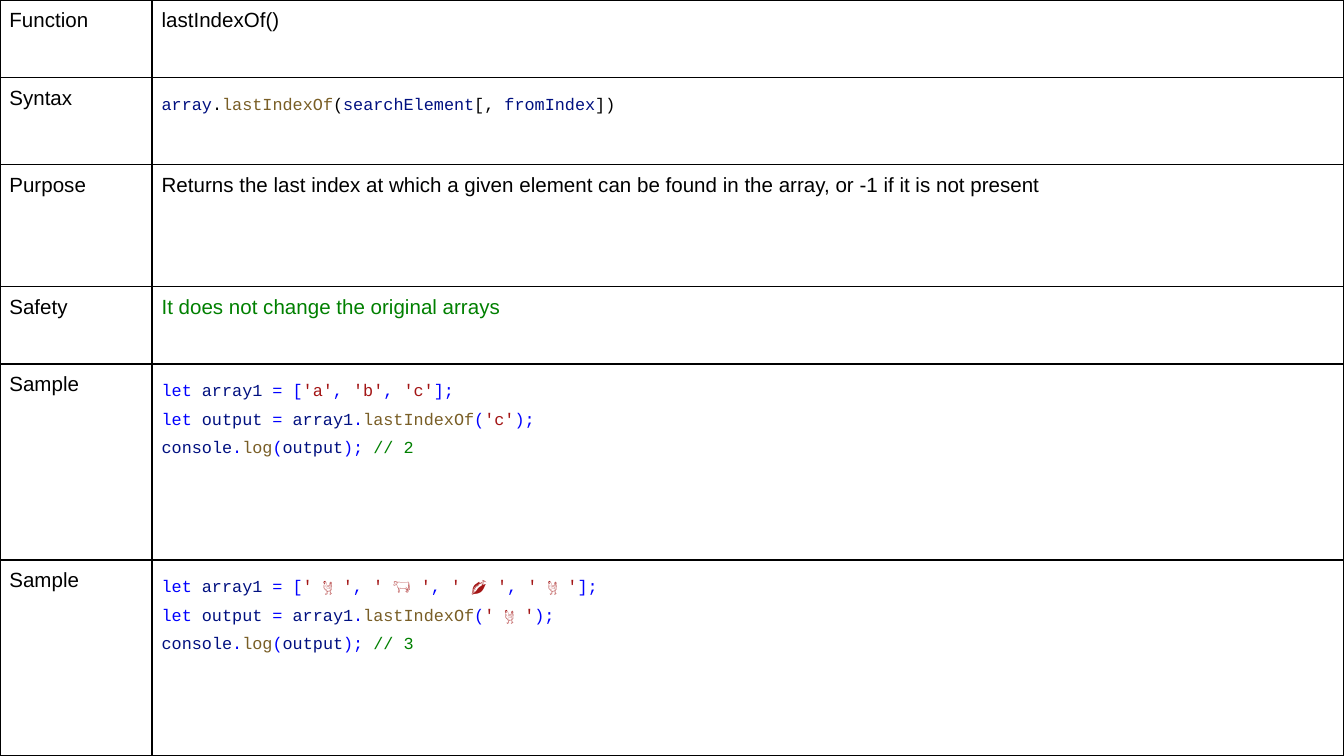
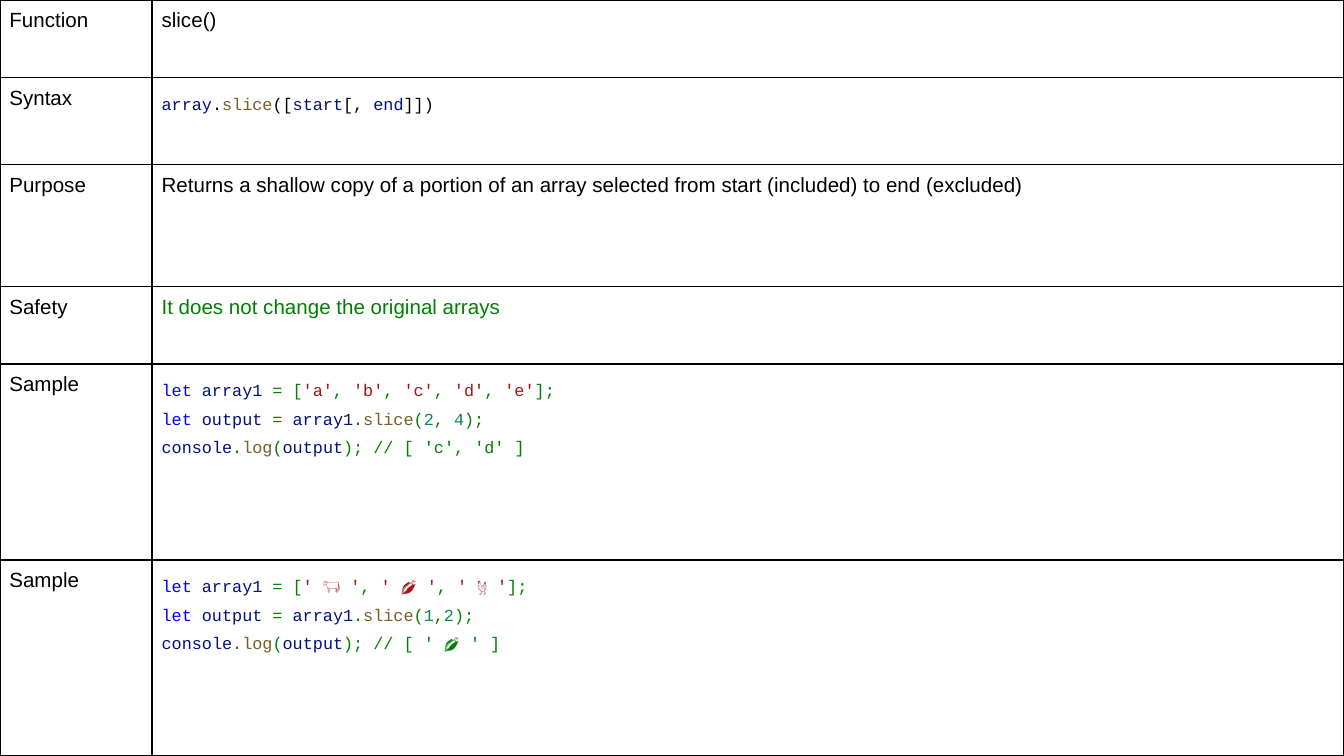
from lxml.etree import fromstring
from pptx import Presentation
from pptx.dml.color import RGBColor
from pptx.util import Inches, Pt

COLORS = {
    "line": "000000",
    "text": "000000",
    "safe": "008000",
    "keyword": "0000FF",
    "variable": "001080",
    "function": "795E26",
    "string": "A31515",
    "number": "098658",
    "comment": "008000",
}
NAMESPACE = "http://schemas.openxmlformats.org/drawingml/2006/main"
SLIDE_WIDTH = Inches(10)
SLIDE_HEIGHT = SLIDE_WIDTH * 9 // 16
UNIT = SLIDE_WIDTH // 1000
COLUMN_UNITS = (113.3, 886.7)
ROW_UNITS = (57.6, 64.8, 90.8, 57.6, 145.8, 145.8)
ROW_LABELS = ("Function", "Syntax", "Purpose", "Safety", "Sample", "Sample")
CELL_MARGIN = 7 * UNIT
FUNCTION_NAMES = {"lastIndexOf", "slice", "log"}
SAFETY = "It does not change the original arrays"

METHODS = [
    {
        "name": "lastIndexOf()",
        "syntax": "array|.|lastIndexOf|(|searchElement|[, |fromIndex|])",
        "purpose": "Returns the last index at which a given element can be found "
                   "in the array, or -1 if it is not present",
        "punctuation": "0000FF",
        "samples": [
            ["let |array1| = [|'a'|, |'b'|, |'c'|];",
             "let |output| = |array1|.|lastIndexOf|(|'c'|);",
             "console|.|log|(|output|); |// 2"],
            ["let |array1| = [|' 🐔 '|, |' 🐄 '|, |' 🌽 '|, |' 🐔 '|];",
             "let |output| = |array1|.|lastIndexOf|(|' 🐔 '|);",
             "console|.|log|(|output|); |// 3"],
        ],
    },
    {
        "name": "slice()",
        "syntax": "array|.|slice|([|start|[, |end|]])",
        "purpose": "Returns a shallow copy of a portion of an array selected "
                   "from start (included) to end (excluded)",
        "punctuation": "008000",
        "samples": [
            ["let |array1| = [|'a'|, |'b'|, |'c'|, |'d'|, |'e'|];",
             "let |output| = |array1|.|slice|(|2|, |4|);",
             "console|.|log|(|output|); // [ 'c', 'd' ]"],
            ["let |array1| = [|' 🐄 '|, |' 🌽 '|, |' 🐔 '|];",
             "let |output| = |array1|.|slice|(|1|,|2|);",
             "console|.|log|(|output|); // [ ' 🌽 ' ]"],
        ],
    },
]


def token_color(token, punctuation):
    """Return the syntax colour of one code token."""
    if token == "let ":
        return COLORS["keyword"]
    if token.startswith("'"):
        return COLORS["string"]
    if token.startswith("//"):
        return COLORS["comment"]
    if token.isdigit():
        return COLORS["number"]
    if token in FUNCTION_NAMES:
        return COLORS["function"]
    return COLORS["variable"] if token.isidentifier() else punctuation


def style_cell(cell):
    """Give a cell equal margins, no fill and a thin border on each side."""
    cell.margin_left = cell.margin_right = CELL_MARGIN
    cell.margin_top = cell.margin_bottom = CELL_MARGIN
    cell.fill.background()
    properties = cell._tc.get_or_add_tcPr()
    for position, side in enumerate("LRTB"):
        properties.insert(position, fromstring(
            f'<a:ln{side} xmlns:a="{NAMESPACE}" w="{int(Pt(1))}"><a:solidFill>'
            f'<a:srgbClr val="{COLORS["line"]}"/></a:solidFill></a:ln{side}>'))


def write_text(cell, text, color=COLORS["text"]):
    """Write one line of plain text in a cell."""
    paragraph = cell.text_frame.paragraphs[0]
    paragraph.add_run().text = text
    paragraph.font.name = "Arial"
    paragraph.font.size = Pt(11)
    paragraph.font.color.rgb = RGBColor.from_string(color)


def write_code(cell, lines, punctuation):
    """Write code lines in a cell, colouring the tokens that bars separate."""
    frame = cell.text_frame
    for index, line in enumerate(lines):
        paragraph = frame.add_paragraph() if index else frame.paragraphs[0]
        paragraph.line_spacing = 1.5
        paragraph.font.name = "Courier New"
        paragraph.font.size = Pt(9)
        for token in line.split("|"):
            run = paragraph.add_run()
            run.text = token
            run.font.color.rgb = RGBColor.from_string(token_color(token, punctuation))


def add_reference_table(slide, left, top):
    """Add the empty labelled grid and return its value cells."""
    table = slide.shapes.add_table(
        len(ROW_UNITS), len(COLUMN_UNITS), left, top,
        int(sum(COLUMN_UNITS) * UNIT), int(sum(ROW_UNITS) * UNIT)).table
    table.first_row = table.horz_banding = False
    for column, units in zip(table.columns, COLUMN_UNITS):
        column.width = int(units * UNIT)
    for row, units, label in zip(table.rows, ROW_UNITS, ROW_LABELS):
        row.height = int(units * UNIT)
        for cell in row.cells:
            style_cell(cell)
        write_text(row.cells[0], label)
    return [row.cells[1] for row in table.rows]


def add_method_slide(presentation, method):
    """Add a slide that describes one array method."""
    slide = presentation.slides.add_slide(presentation.slide_layouts[6])
    name, syntax, purpose, safety, *samples = add_reference_table(slide, 0, 0)
    write_text(name, method["name"])
    write_code(syntax, [method["syntax"]], COLORS["text"])
    write_text(purpose, method["purpose"])
    write_text(safety, SAFETY, COLORS["safe"])
    for cell, lines in zip(samples, method["samples"]):
        write_code(cell, lines, method["punctuation"])


def main():
    """Build and save the presentation."""
    presentation = Presentation()
    presentation.slide_width = SLIDE_WIDTH
    presentation.slide_height = SLIDE_HEIGHT
    for method in METHODS:
        add_method_slide(presentation, method)
    presentation.save("out.pptx")


if __name__ == "__main__":
    main()
